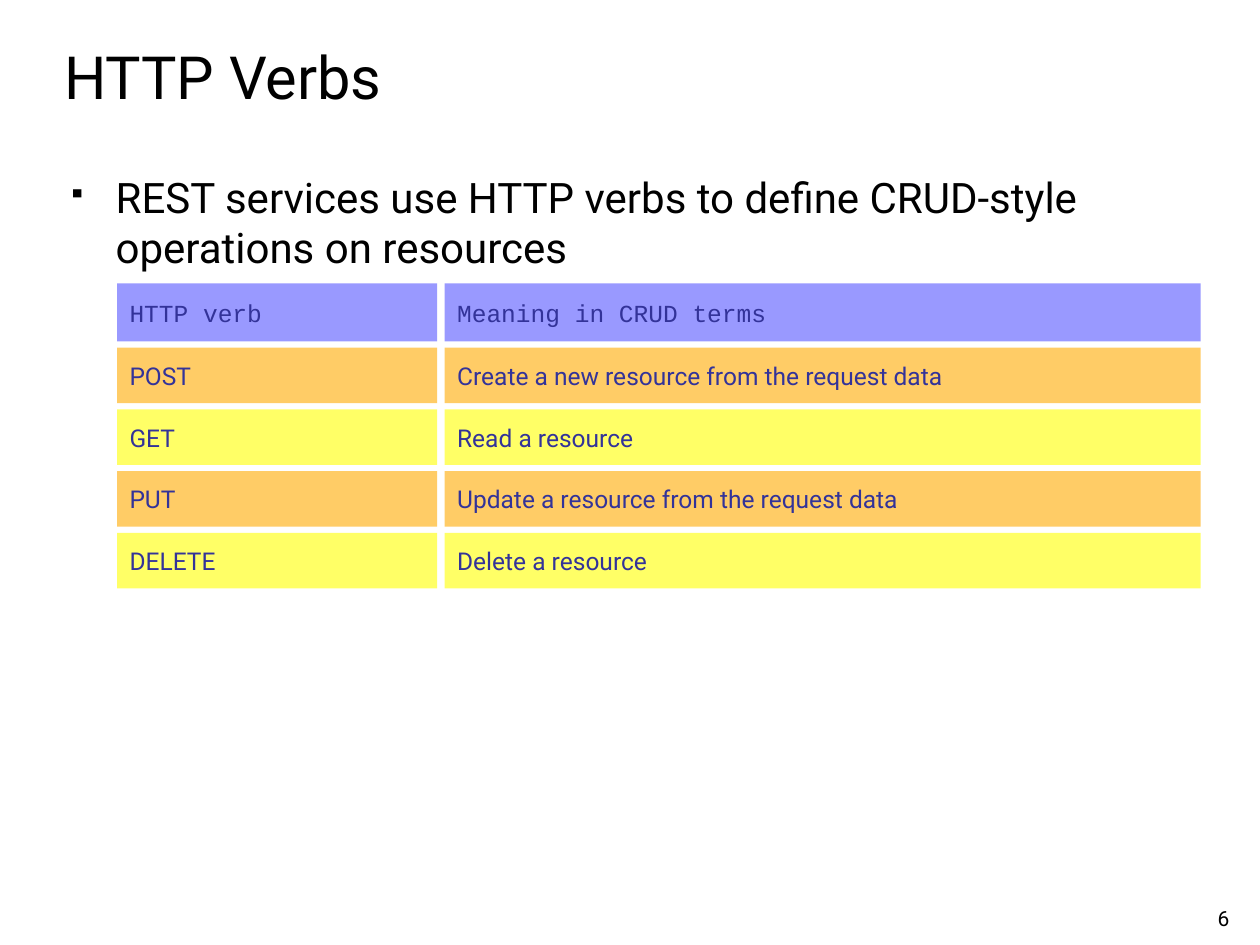
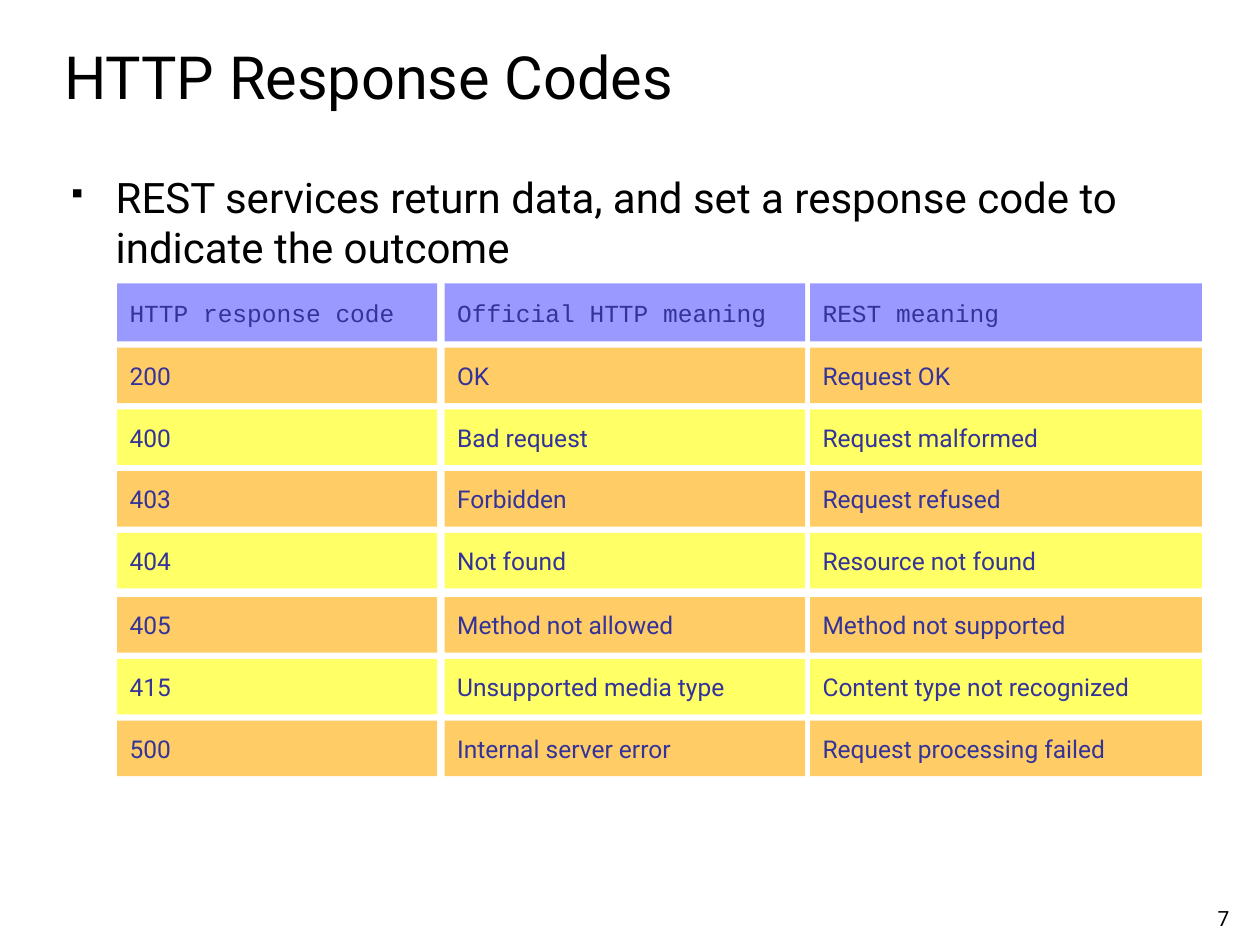
"""Build two slides on HTTP verbs and response codes as used by REST services."""
from lxml.etree import SubElement
from pptx import Presentation
from pptx.dml.color import RGBColor
from pptx.enum.shapes import MSO_SHAPE
from pptx.enum.text import MSO_ANCHOR as Anchor, PP_ALIGN as Align
from pptx.oxml.ns import qn
from pptx.util import Inches, Pt

BLACK = RGBColor(0x00, 0x00, 0x00)
INDIGO = RGBColor(0x33, 0x33, 0x99)
LAVENDER = RGBColor(0x99, 0x99, 0xFF)
ORANGE = RGBColor(0xFF, 0xCC, 0x66)
YELLOW = RGBColor(0xFF, 0xFF, 0x66)
SANS, MONO = "Roboto", "Courier New"

SLIDES = [
    {
        "number": 6,
        "title": "HTTP Verbs",
        "point": "REST services use HTTP verbs to define CRUD-style operations on resources",
        "columns": [(0.93, 2.54), (3.53, 6)],
        "header": ("HTTP verb", "Meaning in CRUD terms"),
        "rows": [
            ("POST", "Create a new resource from the request data"),
            ("GET", "Read a resource"),
            ("PUT", "Update a resource from the request data"),
            ("DELETE", "Delete a resource"),
        ],
    },
    {
        "number": 7,
        "title": "HTTP Response Codes",
        "point": "REST services return data, and set a response code to indicate the outcome",
        "columns": [(0.93, 2.54), (3.53, 2.86), (6.43, 3.11)],
        "header": ("HTTP response code", "Official HTTP meaning", "REST meaning"),
        "rows": [
            ("200", "OK", "Request OK"),
            ("400", "Bad request", "Request malformed"),
            ("403", "Forbidden", "Request refused"),
            ("404", "Not found", "Resource not found"),
            ("405", "Method not allowed", "Method not supported"),
            ("415", "Unsupported media type", "Content type not recognized"),
            ("500", "Internal server error", "Request processing failed"),
        ],
    },
]

HEADER_TOP, HEADER_HEIGHT = 2.25, 0.46
ROWS_TOP, ROW_HEIGHT, ROW_PITCH = 2.76, 0.44, 0.49
GROUP_SIZE, GROUP_GAP = 4, 0.02


def write(shape, text, size, color=BLACK, font=SANS, anchor=Anchor.TOP, align=Align.LEFT):
    frame = shape.text_frame
    frame.word_wrap = True
    frame.vertical_anchor = anchor
    paragraph = frame.paragraphs[0]
    paragraph.text = text
    paragraph.alignment = align
    paragraph.font.size = Pt(size)
    paragraph.font.name = font
    paragraph.font.color.rgb = color
    return paragraph


def add_text(slide, box, text, size, **style):
    return write(slide.shapes.add_textbox(*map(Inches, box)), text, size, **style)


def add_bullet(paragraph):
    props = paragraph._p.get_or_add_pPr()
    props.set("marL", str(Inches(0.38)))
    props.set("indent", str(-Inches(0.38)))
    settings = SubElement(props, qn("a:spcBef"))
    SubElement(settings, qn("a:spcPct"), val="40000")
    bullet_color = SubElement(props, qn("a:buClr"))
    SubElement(bullet_color, qn("a:srgbClr"), val=str(BLACK))
    SubElement(props, qn("a:buSzPct"), val="60000")
    SubElement(props, qn("a:buChar"), char="▪")
    for default in props.findall(qn("a:defRPr")):
        props.append(default)


def add_row(slide, columns, texts, top, height, fill, font=SANS):
    for (left, width), text in zip(columns, texts):
        box = map(Inches, (left, top, width, height))
        cell = slide.shapes.add_shape(MSO_SHAPE.RECTANGLE, *box)
        cell.shadow.inherit = False
        cell.fill.solid()
        cell.fill.fore_color.rgb = fill
        cell.line.fill.background()
        write(cell, text, 14, INDIGO, font, Anchor.MIDDLE)


def build_slide(deck, content):
    slide = deck.slides.add_slide(deck.slide_layouts[6])
    add_bullet(add_text(slide, (0.44, 1.31, 9.28, 5.4), content["point"], 24))
    add_text(slide, (0.41, 0.17, 9.35, 0.76), content["title"], 34, anchor=Anchor.BOTTOM)
    add_text(slide, (9.45, 6.94, 0.52, 0.5), str(content["number"]), 12,
             anchor=Anchor.BOTTOM, align=Align.CENTER)
    columns = content["columns"]
    add_row(slide, columns, content["header"], HEADER_TOP, HEADER_HEIGHT, LAVENDER, MONO)
    for index, texts in enumerate(content["rows"]):
        top = ROWS_TOP + index * ROW_PITCH + index // GROUP_SIZE * GROUP_GAP
        add_row(slide, columns, texts, top, ROW_HEIGHT, (ORANGE, YELLOW)[index % 2])


deck = Presentation()
deck.slide_width, deck.slide_height = Inches(10), Inches(7.5)
for content in SLIDES:
    build_slide(deck, content)
deck.save("out.pptx")
